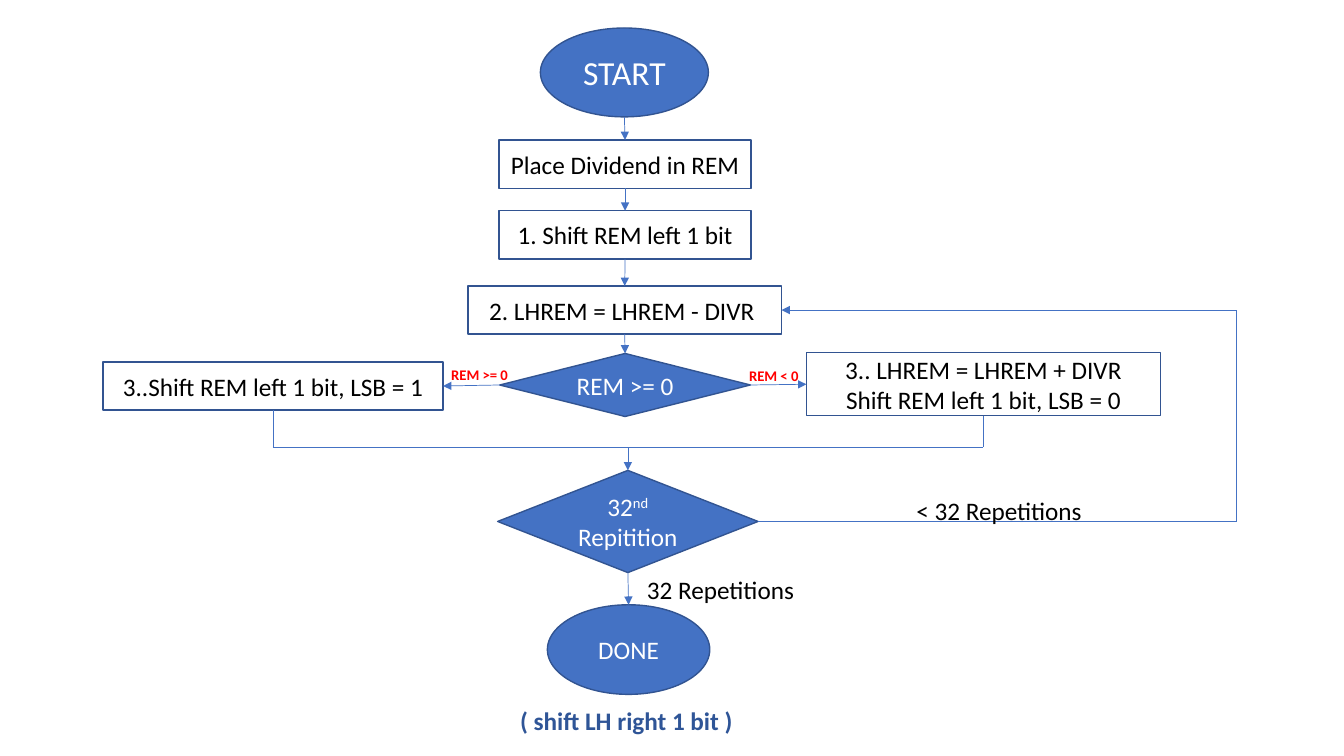
from lxml import etree
from pptx import Presentation
from pptx.dml.color import RGBColor
from pptx.enum.shapes import MSO_CONNECTOR, MSO_SHAPE
from pptx.enum.text import MSO_ANCHOR, MSO_AUTO_SIZE, PP_ALIGN
from pptx.oxml.ns import qn
from pptx.util import Pt

OVAL, RECT, KITE = MSO_SHAPE.OVAL, MSO_SHAPE.RECTANGLE, MSO_SHAPE.DIAMOND
STRAIGHT = MSO_CONNECTOR.STRAIGHT
MIDDLE, CENTER, LEFT = MSO_ANCHOR.MIDDLE, PP_ALIGN.CENTER, PP_ALIGN.LEFT
FIT = MSO_AUTO_SIZE.SHAPE_TO_FIT_TEXT
TOP, WEST, BOTTOM, EAST = range(4)

FONT = "Calibri"
COLORS = {"blue": "4472C4", "edge": "325491", "white": "FFFFFF",
          "black": "000000", "red": "FF0000", "navy": "2F5597"}

NODES = {
    "start": (OVAL, (386, 20, 120, 63.5), 24, [["START"]]),
    "place": (RECT, (356.5, 100, 180, 34.5), 18, [["Place Dividend in REM"]]),
    "shift": (RECT, (356.5, 150.5, 180, 34.5), 18, [["1. Shift REM left 1 bit"]]),
    "minus": (RECT, (334.25, 204.25, 224, 34.5), 18, [["2. LHREM = LHREM - DIVR "]]),
    "test": (KITE, (357, 252.5, 179, 45), 18, [["REM >= 0"]]),
    "plus": (RECT, (576, 252, 253, 45), 18,
             [["3.. LHREM = LHREM + DIVR"], ["Shift REM left 1 bit, LSB = 0"]]),
    "keep": (RECT, (73.5, 258.5, 243, 34.5), 18, [["3..Shift REM left 1 bit, LSB = 1"]]),
    "count": (KITE, (355.5, 336, 186, 73), 18, [["32", "^nd"], ["Repitition"]]),
    "done": (OVAL, (391, 432, 116, 64), 18, [["DONE"]]),
}

NOTES = [
    ((647.5, 350.5, 134.5, 29), "< 32 Repetitions", 18, "black", False, False),
    ((455, 406.5, 121, 29), "32 Repetitions", 18, "black", False, False),
    ((315.25, 258, 55.5, 20), "REM >= 0", 10.5, "red", True, False),
    ((528, 258.5, 55.5, 20), "REM < 0", 10.5, "red", True, True),
    ((364.5, 500.5, 168.5, 29), "( shift LH right 1 bit )", 18, "navy", True, False),
]

RAIL, LOOP = 319.5, 883.5


def color(name):
    return RGBColor.from_string(COLORS[name])


def mid(name, side):
    x, y, w, h = NODES[name][1]
    return {TOP: (x + w / 2, y), WEST: (x, y + h / 2),
            BOTTOM: (x + w / 2, y + h), EAST: (x + w, y + h / 2)}[side]


def write(frame, lines, size, ink, bold, align):
    for i, parts in enumerate(lines):
        para = frame.paragraphs[0] if i == 0 else frame.add_paragraph()
        para.alignment = align
        for part in parts:
            run = para.add_run()
            run.text = part.lstrip("^")
            font = run.font
            font.name, font.size, font.bold = FONT, Pt(size), bold
            font.color.rgb = color(ink)
            if part.startswith("^"):
                run._r.get_or_add_rPr().set("baseline", "30000")


def add_node(slide, kind, box, size, lines):
    shape = slide.shapes.add_shape(kind, *map(Pt, box))
    shape.shadow.inherit = False
    shape.line.color.rgb = color("edge")
    shape.line.width = Pt(1)
    if kind == RECT:
        shape.fill.background()
    else:
        shape.fill.solid()
        shape.fill.fore_color.rgb = color("blue")
    frame = shape.text_frame
    frame.word_wrap = True
    frame.vertical_anchor = MIDDLE
    write(frame, lines, size, "black" if kind == RECT else "white", False, CENTER)
    return shape


def add_note(slide, box, text, size, ink, bold, wrap):
    frame = slide.shapes.add_textbox(*map(Pt, box)).text_frame
    frame.word_wrap = wrap
    frame.auto_size = FIT
    write(frame, [[text]], size, ink, bold, LEFT)


def add_link(slide, shapes, start, end, arrow):
    ends = [mid(*e) if e[0] in NODES else e for e in (start, end)]
    link = slide.shapes.add_connector(STRAIGHT, *(Pt(v) for e in ends for v in e))
    if start[0] in NODES and start[0] != "start":
        link.begin_connect(shapes[start[0]], start[1])
    if end[0] in NODES:
        link.end_connect(shapes[end[0]], end[1])
    link.line.color.rgb = color("blue")
    link.line.width = Pt(0.5)
    props = link._element.spPr
    if arrow:
        etree.SubElement(props.find(qn("a:ln")), qn("a:tailEnd"), type="triangle")
    etree.SubElement(props, qn("a:effectLst"))


def main():
    deck = Presentation()
    deck.slide_width, deck.slide_height = Pt(960), Pt(540)
    slide = deck.slides.add_slide(deck.slide_layouts[6])
    shapes = {name: add_node(slide, *node) for name, node in NODES.items()}

    chain = ["start", "place", "shift", "minus", "test"]
    links = [((a, BOTTOM), (b, TOP), True) for a, b in zip(chain, chain[1:])]
    west, east, hub = ((mid(n, BOTTOM)[0], RAIL) for n in ("keep", "plus", "count"))
    low = (LOOP, mid("count", EAST)[1])
    high = (LOOP, mid("minus", EAST)[1])
    links += [
        (("test", EAST), ("plus", WEST), True),
        (("test", WEST), ("keep", EAST), True),
        (("count", BOTTOM), ("done", TOP), True),
        (("keep", BOTTOM), west, False),
        (("plus", BOTTOM), east, False),
        (west, east, False),
        (hub, ("count", TOP), True),
        (("count", EAST), low, False),
        (low, high, False),
        (high, ("minus", EAST), True),
    ]
    for link in links:
        add_link(slide, shapes, *link)
    for note in NOTES:
        add_note(slide, *note)
    deck.save("out.pptx")


if __name__ == "__main__":
    main()
